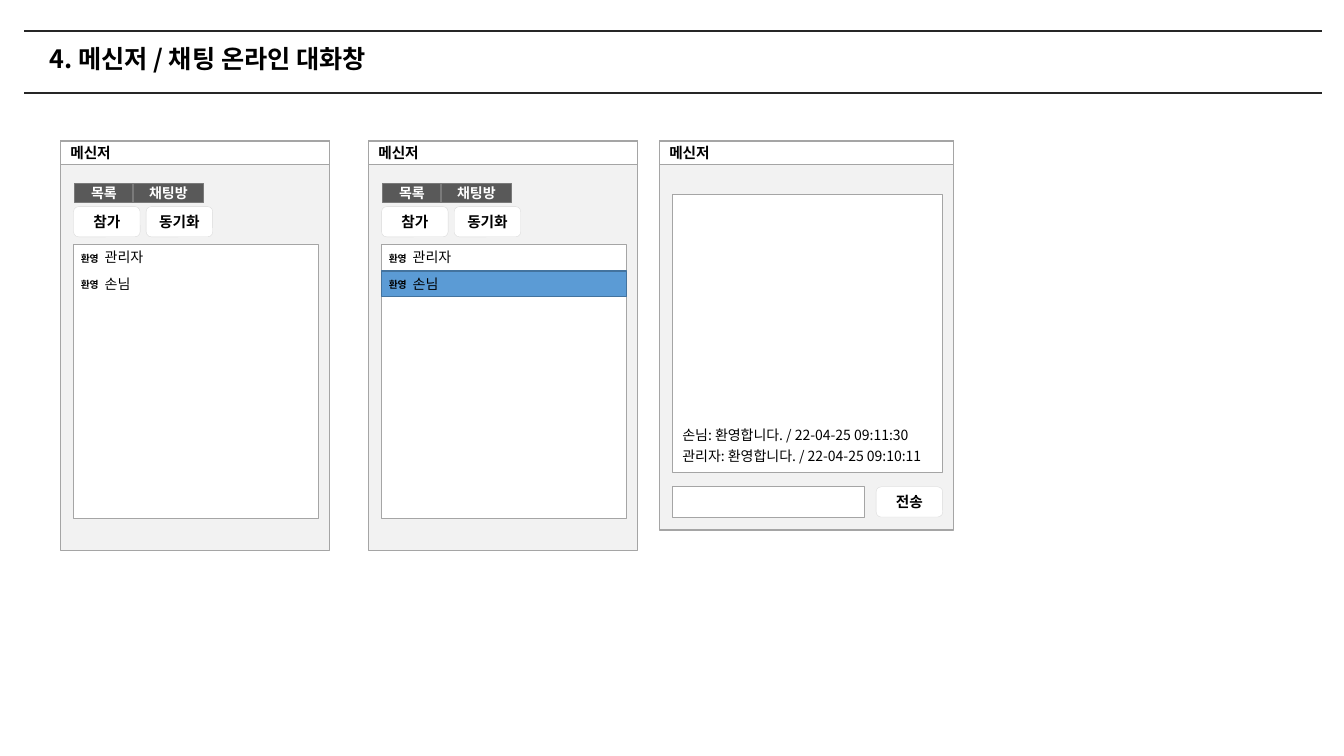
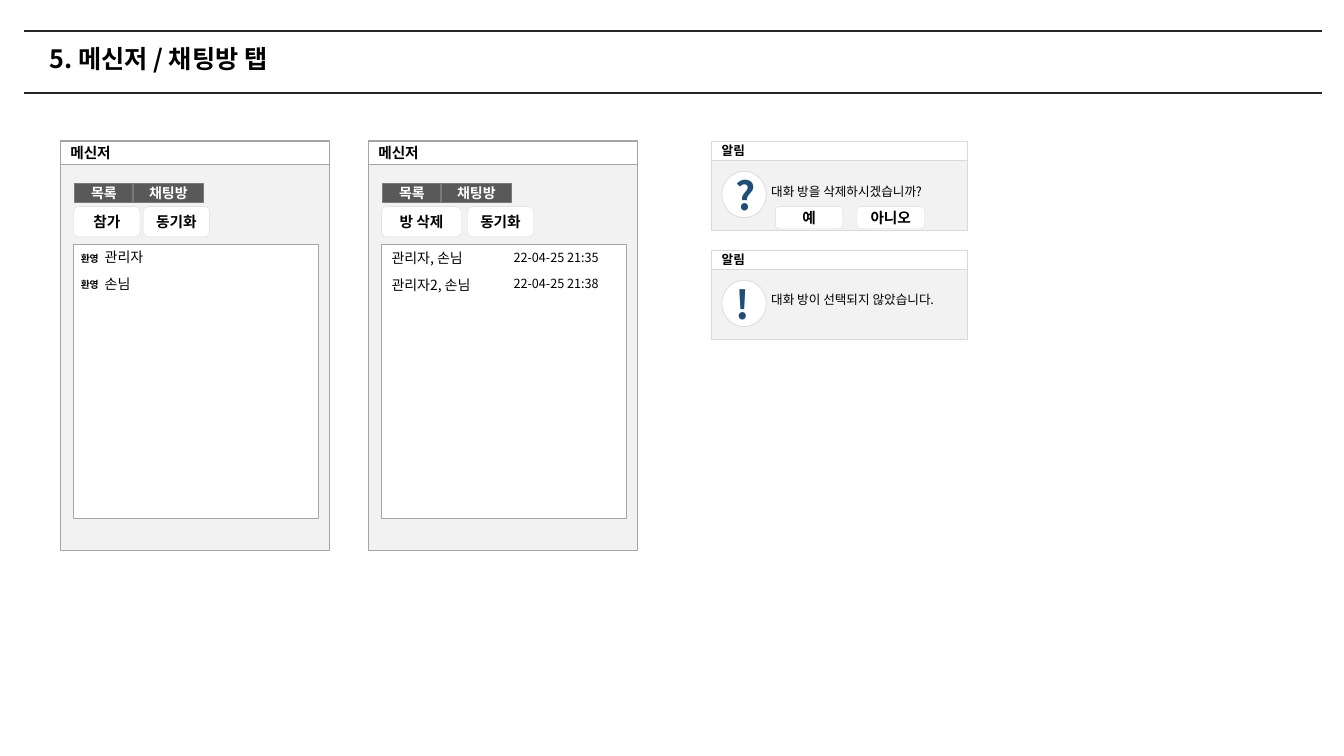
from dataclasses import dataclass

from lxml import etree
from pptx import Presentation
from pptx import util as u
from pptx.dml.color import RGBColor
from pptx.enum import shapes, text
from pptx.oxml import ns

KIND = shapes.MSO_SHAPE
LEFT, MID = text.PP_ALIGN.LEFT, text.PP_ALIGN.CENTER


@dataclass(frozen=True)
class Theme:
    font: str = "Noto Sans CJK KR"
    ink: str = "000000"
    white: str = "FFFFFF"
    rule: str = "262626"
    panel: str = "F2F2F2"
    edge: str = "A5A5A5"
    pale: str = "D9D9D9"
    tab: str = "595959"
    rim: str = "7A7A7A"
    pick: str = "5B9BD5"
    trim: str = "43739E"
    icon: str = "1F4E79"
    head: float = 18
    bold: float = 10.5
    body: float = 10
    small: float = 9
    tiny: float = 7
    sign: float = 28


T = Theme()


def rgb(code):
    return RGBColor.from_string(code)


def write(shape, words, size, color=T.ink, bold=False, align=LEFT):
    frame = shape.text_frame
    frame.word_wrap = True
    para = frame.paragraphs[0]
    para.text = words
    para.alignment = align
    font = para.font
    font.size, font.bold = u.Pt(size), bold
    font.color.rgb = rgb(color)
    font.name = T.font
    props = para._p.pPr.find(ns.qn("a:defRPr"))
    etree.SubElement(props, ns.qn("a:ea"), typeface=T.font)
    return para


def block(slide, area, fill=T.white, edge=T.edge, width=0.5, kind=KIND.RECTANGLE):
    shape = slide.shapes.add_shape(kind, *map(u.Inches, area))
    shape.shadow.inherit = False
    shape.fill.solid()
    shape.fill.fore_color.rgb = rgb(fill)
    shape.line.color.rgb = rgb(edge)
    shape.line.width = u.Pt(width)
    return shape


def note(slide, area, words, size=T.body, **style):
    shape = slide.shapes.add_textbox(*map(u.Inches, area))
    write(shape, words, size, **style)
    shape.text_frame.auto_size = text.MSO_AUTO_SIZE.SHAPE_TO_FIT_TEXT


def button(slide, area, words):
    shape = block(slide, area, edge=T.pale, width=0.25, kind=KIND.ROUNDED_RECTANGLE)
    write(shape, words, T.bold, bold=True, align=MID)


def window(slide, area, words, bar=0.23, edge=T.edge, width=1, size=T.bold):
    x, y, w, h = area
    block(slide, area, T.panel, edge, width)
    top = block(slide, (x, y, w, bar), edge=edge, width=width)
    write(top, words, size, bold=True)


def panel(slide, area, keys, gap=0.06):
    x, y, w, h = area
    window(slide, area, "메신저")
    left = x + 0.14
    for words, wide in (("목록", 0.58), ("채팅방", 0.7)):
        tab = block(slide, (left, y + 0.42, wide, 0.19), T.tab, T.rim, 1)
        write(tab, words, T.body, T.white, True, MID)
        left += wide
    left = x + 0.13
    for words, wide in keys:
        button(slide, (left, y + 0.65, wide, 0.3), words)
        left += wide + gap
    block(slide, (x + 0.13, y + 1.02, w - 0.24, h - 1.34))


def people(slide, area, gap=0.06, pick=None):
    x, y, w, h = area
    panel(slide, area, (("참가", 0.66), ("동기화", 0.66)), gap)
    for row, name in enumerate(("관리자", "손님")):
        top = y + 1.02 + 0.26 * row
        if name == pick:
            block(slide, (x + 0.13, top + 0.01, w - 0.24, 0.25), T.pick, T.trim, 1)
        note(slide, (x + 0.34, top, 1.16, 0.27), name)
        note(slide, (x + 0.05, top + 0.04, 0.48, 0.22), "환영", T.tiny, bold=True, align=MID)


def rooms(slide, area):
    x, y, w, h = area
    panel(slide, area, (("방 삭제", 0.79), ("동기화", 0.66)))
    rows = (("관리자, 손님", "22-04-25 21:35"), ("관리자2, 손님", "22-04-25 21:38"))
    for row, (names, time) in enumerate(rows):
        top = y + 1.03 + 0.26 * row
        note(slide, (x + 0.13, top, 1.2, 0.27), names)
        note(slide, (x + 1.34, top, 1.22, 0.25), time, T.small)


def chat(slide, area):
    x, y, w, h = area
    left, wide, foot = x + 0.13, w - 0.24, y + h - 0.43
    window(slide, area, "메신저")
    block(slide, (left, y + 0.53, wide, h - 1.1))
    block(slide, (left, foot, 1.9, 0.3))
    button(slide, (left + wide - 0.66, foot, 0.66, 0.3), "전송")
    lines = ("손님: 환영합니다. / 22-04-25 09:11:30", "관리자: 환영합니다. / 22-04-25 09:10:11")
    for row, words in enumerate(lines):
        note(slide, (left, y + 2.78 + 0.21 * row, 3.03, 0.27), words)


def alert(slide, area, sign, words, keys=()):
    x, y, w, h = area
    window(slide, area, "알림", 0.19, T.pale, 0.5, T.small)
    block(slide, (x + 0.1, y + 0.3, 0.44, 0.46), edge=T.pale, kind=KIND.OVAL)
    note(slide, (x + 0.14, y + 0.25, 0.6, 0.57), sign, T.sign, color=T.icon, bold=True)
    note(slide, (x + 0.49, y + 0.37, 2.09, 0.25), words, T.small)
    for col, key in enumerate(keys):
        button(slide, (x + 0.63 + 0.81 * col, y + 0.65, 0.67, 0.22), key)


def page(deck, layout, words):
    slide = deck.slides.add_slide(layout)
    title = slide.shapes.title
    para = write(title, words, T.head, bold=True)
    para.line_spacing = 0.9
    title.text_frame.auto_size = text.MSO_AUTO_SIZE.NONE
    title.text_frame.vertical_anchor = text.MSO_ANCHOR.MIDDLE
    return slide


def frame(layout):
    title = layout.placeholders[0]
    title.left, title.top, title.width, title.height = map(u.Inches, (0.39, 0.39, 12.64, 0.42))


def rules(slide, layout):
    for num, y in enumerate((0.31, 0.92)):
        ends = map(u.Inches, (0.24, y, 13.11, y))
        line = slide.shapes.add_connector(shapes.MSO_CONNECTOR.STRAIGHT, *ends)
        line.line.color.rgb = rgb(T.rule)
        line.line.width = u.Pt(1.5)
        node = line.element
        etree.SubElement(node.spPr, ns.qn("a:effectLst"))
        node.nvCxnSpPr.cNvPr.id = 20 + num
        layout.shapes.element.append(node)


def main():
    deck = Presentation()
    deck.slide_width, deck.slide_height = u.Inches(13.33), u.Inches(7.5)
    layout = deck.slide_layouts[5]
    frame(layout)
    first, second = (0.6, 1.4, 2.67, 4.06), (3.655, 1.4, 2.67, 4.06)

    talk = page(deck, layout, "4. 메신저 / 채팅 온라인 대화창")
    rules(talk, layout)
    people(talk, first)
    people(talk, second, pick="손님")
    chat(talk, (6.54, 1.4, 2.92, 3.86))

    room = page(deck, layout, "5. 메신저 / 채팅방 탭")
    people(room, first, gap=0.03)
    rooms(room, second)
    alert(room, (7.06, 1.4, 2.54, 0.89), "?", "대화 방을 삭제하시겠습니까?", ("예", "아니오"))
    alert(room, (7.06, 2.48, 2.54, 0.89), "!", "대화 방이 선택되지 않았습니다.")

    deck.save("out.pptx")


main()
